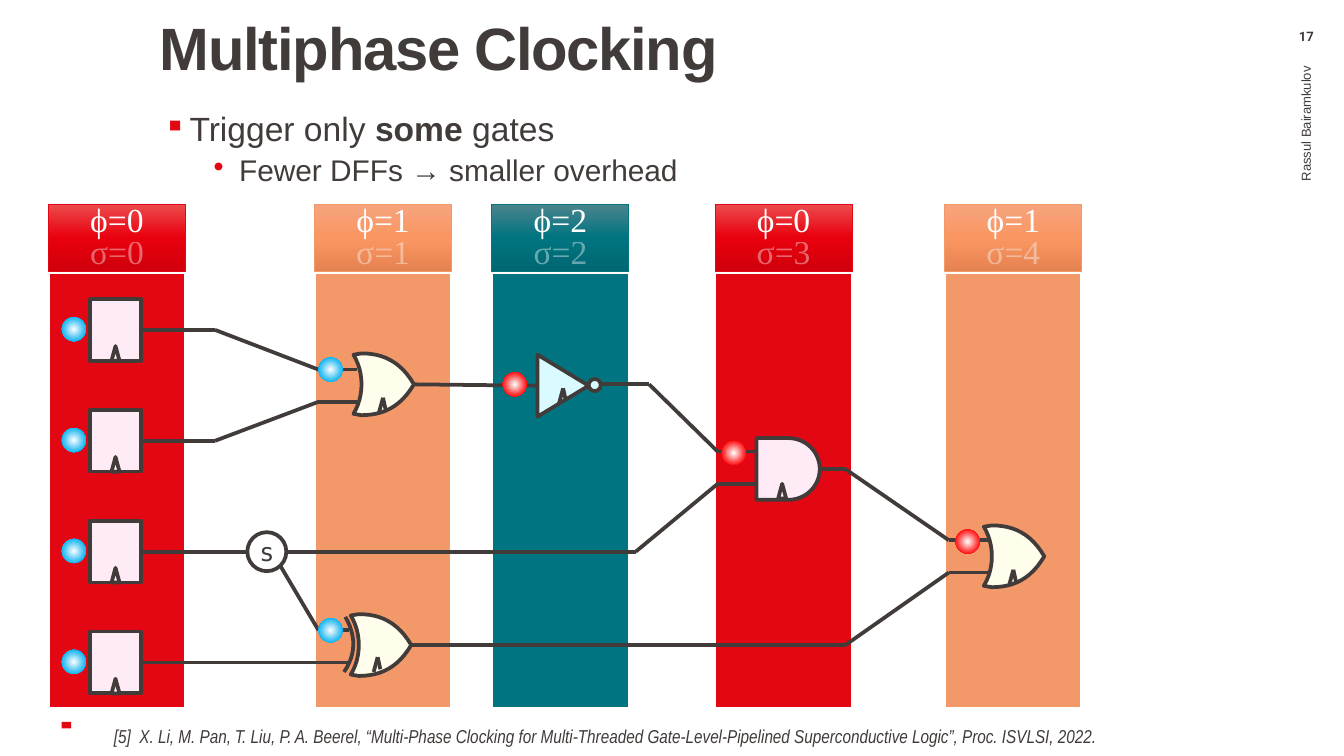
from pptx import Presentation
from pptx import util as u
from pptx.dml.color import RGBColor
from pptx.enum import shapes, text
from pptx.oxml import ns, parse_xml
from pptx.oxml import xmlchemy as oxml

INK = RGBColor(0x41, 0x3C, 0x3A)
WHITE = RGBColor(0xFF, 0xFF, 0xFF)
RED = RGBColor(0xE3, 0x06, 0x13)
ORANGE = RGBColor(0xF3, 0x98, 0x69)
TEAL = RGBColor(0x00, 0x74, 0x80)
PINK = RGBColor(0xFF, 0xEB, 0xF6)
CREAM = RGBColor(0xFF, 0xFD, 0xEB)
ICE = RGBColor(0xD9, 0xFB, 0xFF)
BLUE_GLOW = RGBColor(0x00, 0xB0, 0xF0)
RED_GLOW = RGBColor(0xFF, 0x00, 0x00)
SHEEN = {
    RED: (RGBColor(0xEC, 0x4B, 0x4C), RGBColor(0xE9, 0x00, 0x0E), RGBColor(0xCF, 0x00, 0x0C)),
    ORANGE: (RGBColor(0xF6, 0xA4, 0x7D), RGBColor(0xFA, 0x96, 0x62), RGBColor(0xE5, 0x83, 0x50)),
    TEAL: (RGBColor(0x4B, 0x84, 0x8E), TEAL, RGBColor(0x00, 0x67, 0x72)),
}
KIND = shapes.MSO_SHAPE
LINEAR = '<a:lin ang="5400000" scaled="0"/>'
RADIAL = '<a:path path="circle"><a:fillToRect l="50000" t="50000" r="50000" b="50000"/></a:path>'

# The slide is a grid of 100 columns; rows are as high as columns are wide.
deck = Presentation()
deck.slide_width, deck.slide_height = u.Inches(10), u.Inches(5.625)
CELL = deck.slide_width // 100
slide = deck.slides.add_slide(deck.slide_layouts[6])
canvas = slide.shapes


def dress(shape, fill=None, line=None, width=2, stops=None, shade=LINEAR):
    """Set fill (plain, or gradient from percent/colour stops) and outline."""
    shape.shadow.inherit = False
    shape.fill.background()
    if fill is not None:
        shape.fill.solid()
        shape.fill.fore_color.rgb = fill
    if stops:
        marks = "".join(f'<a:gs pos="{at * 1000}"><a:srgbClr val="{color}"/></a:gs>'
                        for at, color in stops)
        properties = shape._element.spPr
        properties.replace(properties.find(ns.qn("a:noFill")), parse_xml(
            f'<a:gradFill {ns.nsdecls("a")} rotWithShape="1"><a:gsLst>{marks}</a:gsLst>{shade}</a:gradFill>'))
    if line is None:
        shape.line.fill.background()
    else:
        shape.line.color.rgb = line
        shape.line.width = u.Pt(width)
    return shape


def write(paragraph, words, size=18, font="Arial", color=INK, bold=False,
          italic=False, alpha=None, tracking=None, align=None, spacing=None):
    run = paragraph.add_run()
    run.text = words
    run.font.size, run.font.name = u.Pt(size), font
    run.font.bold, run.font.italic = bold, italic
    run.font.color.rgb = color
    if alpha:
        tint = run._r.rPr.find(".//" + ns.qn("a:srgbClr"))
        tint.append(parse_xml(f'<a:alpha {ns.nsdecls("a")} val="{alpha * 1000}"/>'))
    if tracking:
        run._r.rPr.set("spc", str(tracking))
    if align is not None:
        paragraph.alignment = align
    if spacing:
        paragraph.line_spacing = spacing


# Clock stages: a band with a header above it
for stage, (left, phase, color) in enumerate([
        (3.6, 0, RED), (23.4, 1, ORANGE), (36.6, 2, TEAL), (53.2, 0, RED), (70.3, 1, ORANGE)]):
    band = canvas.add_shape(KIND.RECTANGLE, *[int(n * CELL) for n in (left, 20.3, 10.2, 32.4)])
    dress(band, color, WHITE, 1.5)
    header = canvas.add_shape(KIND.RECTANGLE, *[int(n * CELL) for n in (left, 15.2, 10.2, 5)])
    dress(header, line=color, width=0.5, stops=list(zip((0, 50, 100), SHEEN[color])))
    label = header.text_frame
    label.margin_left = label.margin_right = label.margin_top = label.margin_bottom = 0
    label.vertical_anchor = text.MSO_ANCHOR.BOTTOM
    serif = dict(font="Times New Roman", color=WHITE, align=text.PP_ALIGN.CENTER, spacing=0.8)
    write(label.paragraphs[0], f"ϕ={phase}", **serif)
    write(label.add_paragraph(), f"σ={stage}", alpha=40, **serif)

# Registers, one per input row, keyed by the point where their output starts
input_rows = [24.55 + 8.25 * i for i in range(4)]
registers = {}
for row in input_rows:
    register = canvas.add_shape(KIND.RECTANGLE, *[int(n * CELL) for n in (6.7, row - 2.3, 3.8, 4.6)])
    registers[10.5, row] = dress(register, PINK, INK)

# Preset gate parts: AND body, inverter body and bubble, clock notches, footer mark
for kind, left, top, width, height, turn, fill, line in [
        (KIND.FLOWCHART_DELAY, 56.3, 32.6, 4.7, 4.6, 0, PINK, INK),
        (KIND.ISOSCELES_TRIANGLE, 39.6, 26.8, 4.6, 3.8, 90, ICE, INK),
        (KIND.OVAL, 43.8, 28.2, 0.9, 0.9, 0, ICE, INK),
        (KIND.ISOSCELES_TRIANGLE, 57.9, 36, 0.6, 1.1, 0, PINK, INK),
        *[(KIND.ISOSCELES_TRIANGLE, 8.3, row + 1.2, 0.6, 1.1, 0, PINK, INK) for row in input_rows],
        (KIND.RECTANGLE, 4.7, 53.6, 0.5, 0.7, 270, RED, None)]:
    part = canvas.add_shape(kind, *[int(n * CELL) for n in (left, top, width, height)])
    part.rotation = turn
    dress(part, fill, line)

# Curved gates: each outline is a chain of cubic curves
or_body = [[(4.5, 2.3), (3.5, 0.6), (2.2, 0), (0.6, 0)],
           [(0, 0.1), (0.8, 1.4), (0.8, 3.2), (0, 4.5)],
           [(0.6, 4.6), (2.2, 4.6), (3.5, 4), (4.5, 2.3)]]
xor_arc = [[(0.1, 0.2), (0.9, 1.6), (0.9, 3), (0, 4.3)]]
for left, top, curves, fill in [(26.3, 26.3, or_body, CREAM), (26.1, 45.7, or_body, CREAM),
                                (73.2, 39.1, or_body, CREAM), (25.6, 45.7, xor_arc, None)]:
    outline = []
    for curve in curves:
        for t in [step / 12 for step in range(13)]:
            weights = ((1 - t) ** 3, 3 * t * (1 - t) ** 2, 3 * t * t * (1 - t), t ** 3)
            x, y = [sum(w * point[axis] for w, point in zip(weights, curve)) for axis in (0, 1)]
            outline.append(((left + x) * CELL, (top + y) * CELL))
    builder = canvas.build_freeform(*outline[0])
    builder.add_line_segments(outline[1:], close=fill is not None)
    dress(builder.convert_to_shape(), fill, INK)

# Wires, each a chain of points, then the open clock notches
wires = [
    [(10.5, input_rows[0]), (16, input_rows[0]), (23.7, 27.5), (26.6, 27.5)],
    [(10.5, input_rows[1]), (16, input_rows[1]), (23.7, 29.9), (26.6, 29.9)],
    [(10.5, input_rows[2]), (47.3, input_rows[2]), (53.4, 36), (56.3, 36)],
    [(10.5, input_rows[3]), (26, input_rows[3])],
    [(20.8, 42), (23.7, 46.9), (26, 46.9)],
    [(30.8, 28.6), (40, 28.7)],
    [(44.7, 28.6), (48.3, 28.6), (53.4, 33.6), (56.3, 33.6)],
    [(60.9, 34.9), (62.9, 34.9), (70.6, 40.2), (73.5, 40.2)],
    [(30.6, 48), (62.9, 48), (70.6, 42.6), (73.5, 42.6)],
]
wires += [[(x - 0.3, y + 1.1), (x, y), (x + 0.2, y + 0.9)]
          for x, y in [(28.5, 29.6), (41.9, 28.9), (28.1, 48.9), (75.4, 42.4)]]
for wire in wires:
    for start, end in zip(wire, wire[1:]):
        link = canvas.add_connector(shapes.MSO_CONNECTOR.STRAIGHT,
                                    *[int(n * CELL) for n in (*start, *end)])
        link.line.color.rgb, link.line.width = INK, u.Pt(2)
        link._element.spPr.append(oxml.OxmlElement("a:effectLst"))
        if start in registers:
            link.begin_connect(registers[start], 3)

splitter = canvas.add_shape(KIND.OVAL, *[int(n * CELL) for n in (18.4, 39.6, 2.9, 2.9)])
frame = dress(splitter, WHITE, INK).text_frame
frame.margin_left = frame.margin_right = frame.margin_top = frame.margin_bottom = 0
frame.vertical_anchor = text.MSO_ANCHOR.MIDDLE
write(frame.paragraphs[0], "s", size=13.5, font="DejaVu Sans Mono", align=text.PP_ALIGN.CENTER)

# Pulses
for left, top, glow in [*[(4.6, row - 0.95, BLUE_GLOW) for row in input_rows],
                        (23.7, 46, BLUE_GLOW), (23.7, 26.6, BLUE_GLOW), (37.4, 27.7, RED_GLOW),
                        (53.7, 32.8, RED_GLOW), (71.1, 39.4, RED_GLOW)]:
    pulse = canvas.add_shape(KIND.OVAL, *[int(n * CELL) for n in (left, top, 1.8, 1.8)])
    dress(pulse, stops=[(0, WHITE), (77, glow)], shade=RADIAL)

# Text boxes: place, left/top/right/bottom margins, turn, anchor, wording
TOP, MIDDLE = text.MSO_ANCHOR.TOP, text.MSO_ANCHOR.MIDDLE
frames = []
for place, margins, turn, anchor, words, look in [
        ((9.9, 1.4, 68.2, 6), (2, 0, 0.8, 0.5), 0, TOP, "Multiphase Clocking",
         dict(size=32, bold=True, tracking=-70, spacing=0.9)),
        ((77.8, 20.5, 38.7, 5.6), (1, 0.5, 1, 0.5), 270, MIDDLE, "Rassul Bairamkulov",
         dict(size=7, align=text.PP_ALIGN.RIGHT)),
        ((94.4, 2.1, 5.6, 1.8), (1, 0, 1, 0), 0, TOP, "17",
         dict(size=7, font="Roboto", bold=True, align=text.PP_ALIGN.CENTER)),
        ((7.5, 53.4, 86.7, 2.7), (1, 0.5, 1, 0.5), 0, MIDDLE,
         "[5]  X. Li, M. Pan, T. Liu, P. A. Beerel, “Multi-Phase Clocking for Multi-Threaded "
         "Gate-Level-Pipelined Superconductive Logic”, Proc. ISVLSI, 2022.",
         dict(size=10, font="Arial Narrow", italic=True)),
        ((10.2, 7.9, 84.1, 6.8), (2, 0.5, 1, 0.5), 0, TOP, "Trigger only ", dict(spacing=0.9))]:
    box = canvas.add_textbox(*[int(n * CELL) for n in place])
    box.rotation = turn
    frame = box.text_frame
    frame.word_wrap, frame.vertical_anchor = True, anchor
    frame.margin_left, frame.margin_top, frame.margin_right, frame.margin_bottom = [
        int(n * CELL) for n in margins]
    write(frame.paragraphs[0], words, **look)
    frames.append(frame)

claim, benefit = frames[-1].paragraphs[0], frames[-1].add_paragraph()
write(claim, "some", bold=True)
write(claim, " gates")
write(benefit, "Fewer DFFs → smaller overhead", size=16, spacing=0.9)
benefit.level = 1
for item, indent, before, mark, scale in [(claim, 1.9, 7.5, "▪", 90), (benefit, 5.6, 3.8, "•", 100)]:
    item.space_before = u.Pt(before)
    layout = item._p.get_or_add_pPr()
    layout.set("marL", str(int(indent * CELL)))
    layout.set("indent", str(int(-1.9 * CELL)))
    for bullet in (f'buClr {ns.nsdecls("a")}><a:srgbClr val="{RED}"/></a:buClr>',
                   f'buSzPct {ns.nsdecls("a")} val="{scale * 1000}"/>',
                   f'buChar {ns.nsdecls("a")} char="{mark}"/>'):
        layout.append(parse_xml("<a:" + bullet))

deck.save("out.pptx")
